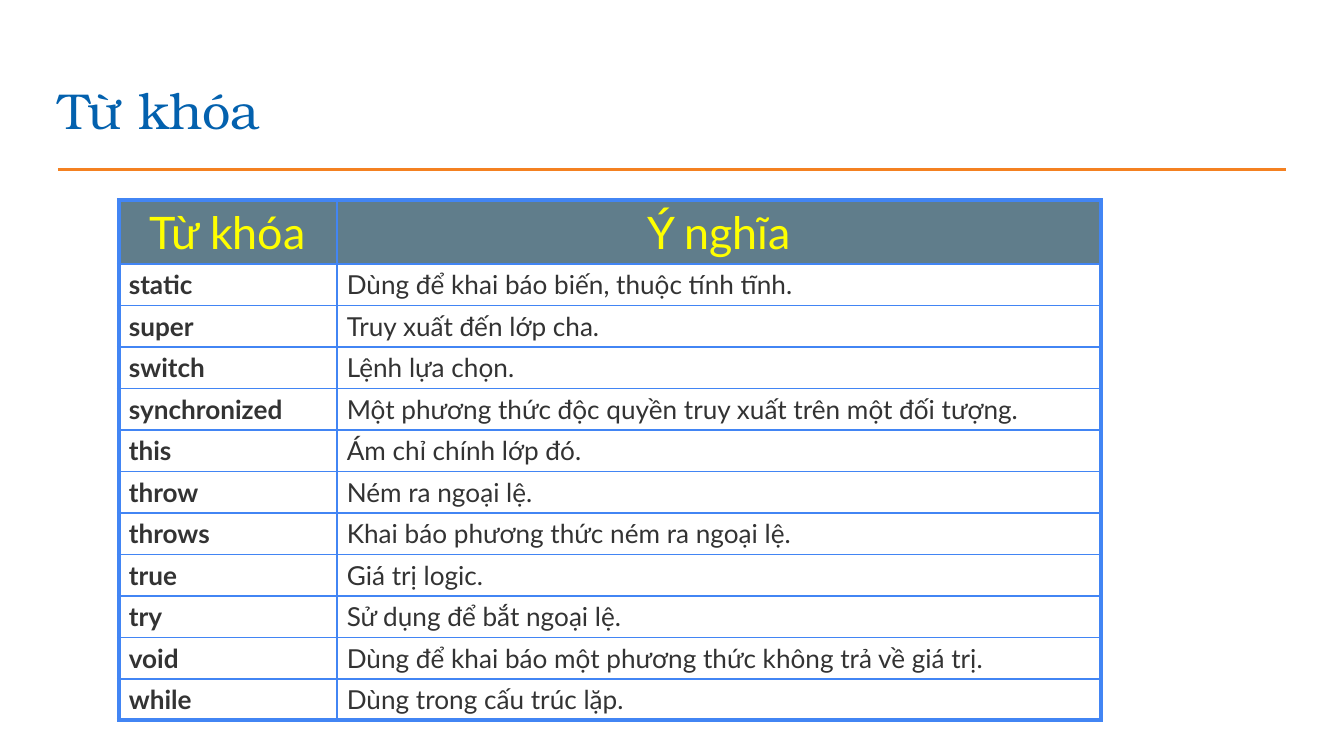
from lxml.etree import SubElement
from pptx import Presentation
from pptx.dml.color import RGBColor
from pptx.enum.shapes import MSO_CONNECTOR
from pptx.enum.text import MSO_ANCHOR, PP_ALIGN
from pptx.oxml.ns import qn
from pptx.util import Pt

BODY_FONT = "Lato"
TITLE_FONT = "TeX Gyre Bonum"
BORDER = "4285F4"
HEADERS = ("Từ khóa", "Ý nghĩa")
KEYWORDS = (
    ("static", "Dùng để khai báo biến, thuộc tính tĩnh."),
    ("super", "Truy xuất đến lớp cha."),
    ("switch", "Lệnh lựa chọn."),
    ("synchronized", "Một phương thức độc quyền truy xuất trên một đối tượng."),
    ("this", "Ám chỉ chính lớp đó."),
    ("throw", "Ném ra ngoại lệ."),
    ("throws", "Khai báo phương thức ném ra ngoại lệ."),
    ("true", "Giá trị logic."),
    ("try", "Sử dụng để bắt ngoại lệ."),
    ("void", "Dùng để khai báo một phương thức không trả về giá trị."),
    ("while", "Dùng trong cấu trúc lặp."),
)


def color(value):
    return RGBColor.from_string(value)


def add_span(para, text, font, size, fill, bold=False):
    span = para.add_run()
    span.text = text
    span.font.name = font
    span.font.size = Pt(size)
    span.font.bold = bold
    span.font.color.rgb = color(fill)


def add_title(page, text):
    box = page.shapes.add_textbox(Pt(24.5), Pt(35.3), Pt(671), Pt(45.4))
    frame = box.text_frame
    frame.word_wrap = True
    frame.margin_left = frame.margin_right = Pt(7.2)
    frame.margin_top = frame.margin_bottom = Pt(7.2)
    add_span(frame.paragraphs[0], text, TITLE_FONT, 27, "0361AE")


def add_rule(page):
    rule = page.shapes.add_connector(
        MSO_CONNECTOR.STRAIGHT, Pt(31), Pt(90.7), Pt(689), Pt(90.7))
    rule.line.color.rgb = color("F48121")
    rule.line.width = Pt(1.5)
    SubElement(rule._element.spPr, qn("a:effectLst"))


def set_borders(cell, widths):
    """Draw the left, right, top and bottom borders, which must precede the fill."""
    properties = cell._tc.get_or_add_tcPr()
    for side, width in zip(("lnL", "lnR", "lnT", "lnB"), widths):
        line = SubElement(properties, qn(f"a:{side}"), w=str(Pt(width)))
        fill = SubElement(line, qn("a:solidFill"))
        SubElement(fill, qn("a:srgbClr"), val=BORDER)


def fill_cell(cell, text, is_header, is_keyword):
    cell.margin_left = cell.margin_right = Pt(5.4)
    cell.margin_top = cell.margin_bottom = Pt(2.7)
    cell.vertical_anchor = MSO_ANCHOR.TOP
    para = cell.text_frame.paragraphs[0]
    if is_header:
        cell.fill.solid()
        cell.fill.fore_color.rgb = color("607D8B")
        para.alignment = PP_ALIGN.CENTER
        add_span(para, text, BODY_FONT, 24, "FFFF00")
    else:
        cell.fill.background()
        add_span(para, text, BODY_FONT, 14, "333333", is_keyword)


def add_keyword_table(page):
    rows = (HEADERS,) + KEYWORDS
    heights = [34.2] + [22.2] * len(KEYWORDS)
    widths = (116.8, 409.6)
    table = page.shapes.add_table(
        len(rows), len(widths), Pt(63.6), Pt(107.2),
        Pt(sum(widths)), Pt(sum(heights))).table
    table.horz_banding = False
    for column, width in zip(table.columns, widths):
        column.width = Pt(width)
    for r, (texts, height) in enumerate(zip(rows, heights)):
        table.rows[r].height = Pt(height)
        for c, text in enumerate(texts):
            cell = table.cell(r, c)
            outer_sides = (c == 0, c == len(widths) - 1, r == 0, r == len(rows) - 1)
            set_borders(cell, [2.25 if outer else 1 for outer in outer_sides])
            fill_cell(cell, text, is_header=r == 0, is_keyword=c == 0)


def main():
    deck = Presentation()
    deck.slide_width, deck.slide_height = Pt(720), Pt(405)
    page = deck.slides.add_slide(deck.slide_layouts[6])
    add_rule(page)
    add_keyword_table(page)
    add_title(page, "Từ khóa")
    deck.save("out.pptx")


if __name__ == "__main__":
    main()
